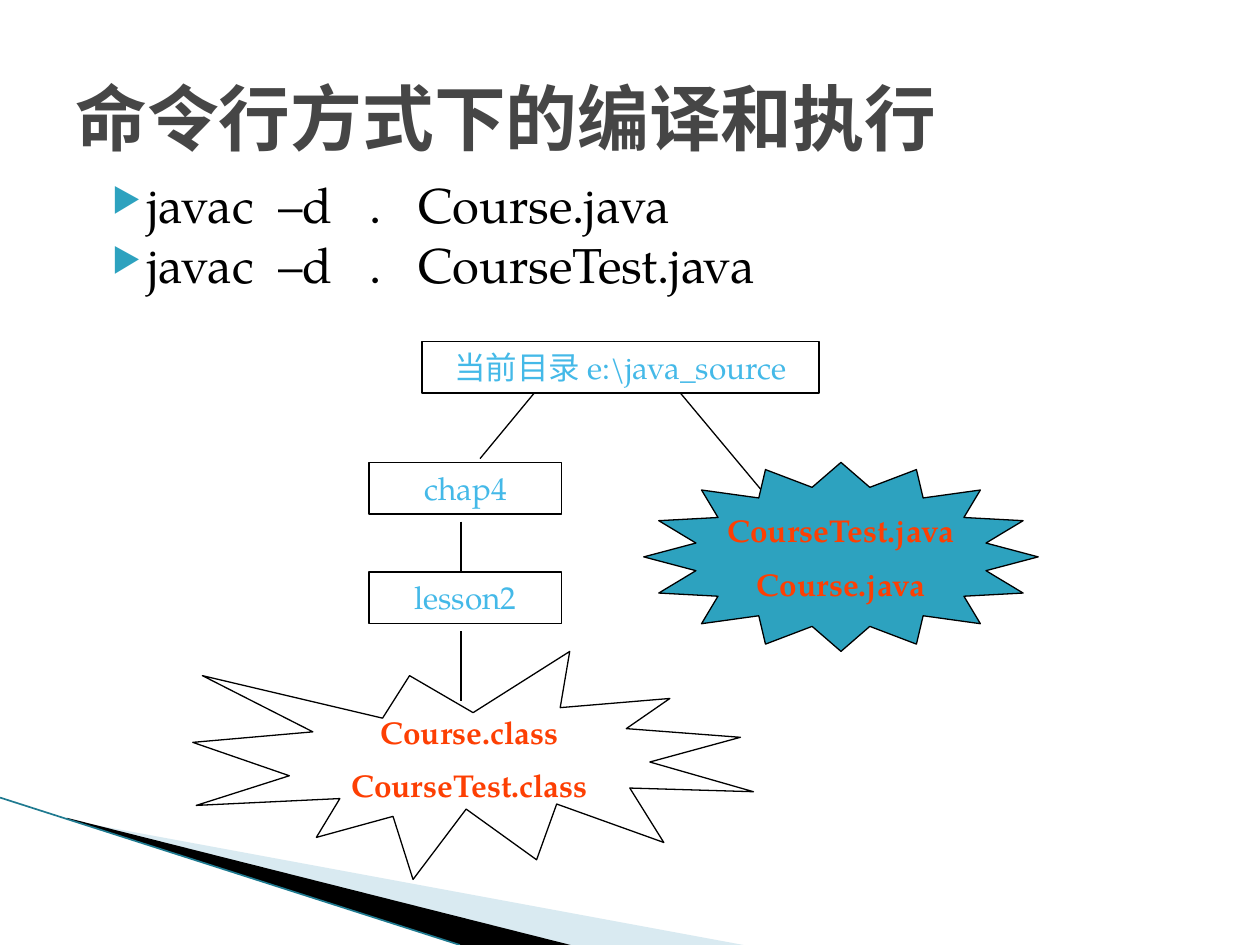
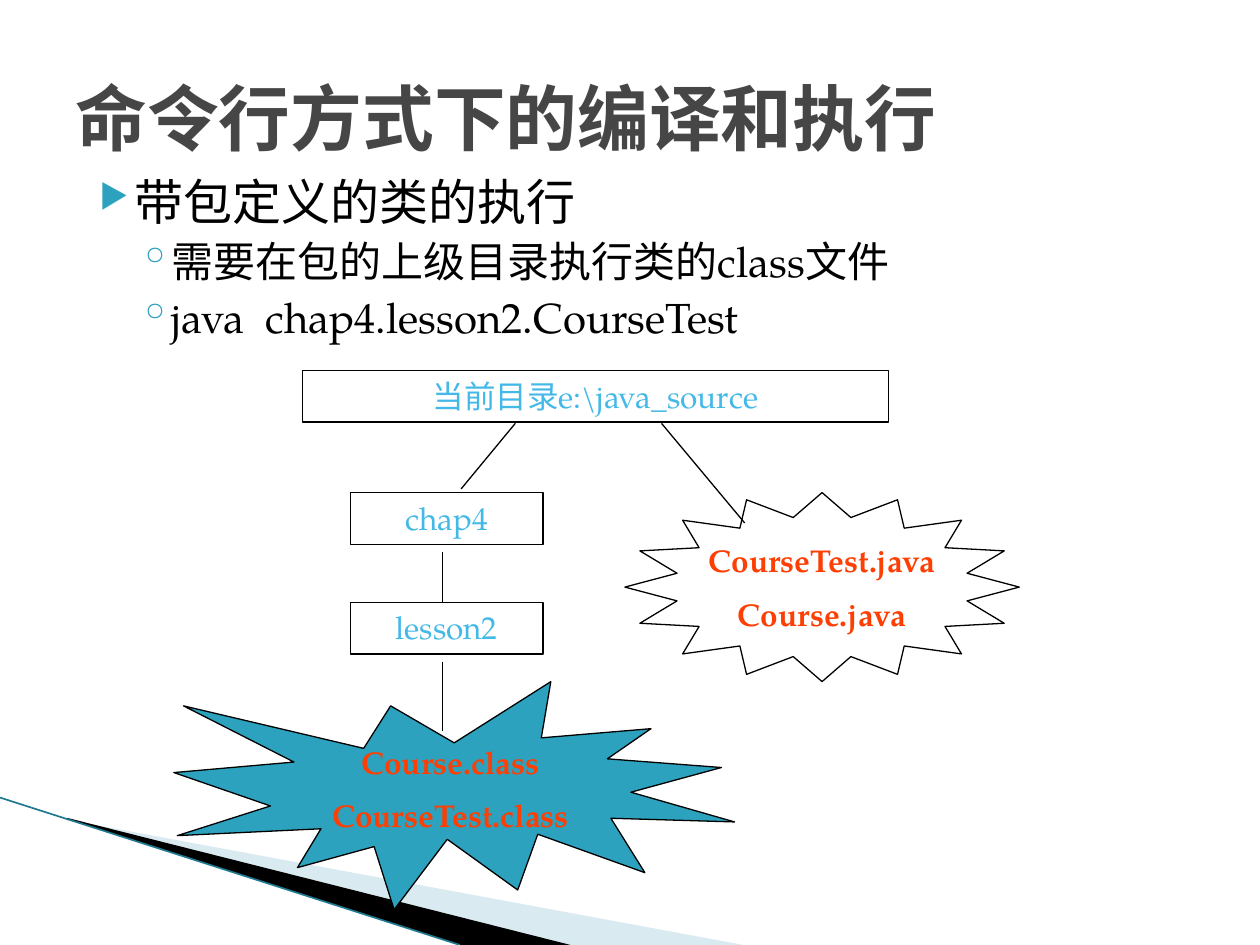
from lxml.etree import SubElement
from pptx import Presentation
from pptx.dml.color import RGBColor
from pptx.enum.shapes import MSO_CONNECTOR as Link, MSO_SHAPE as Preset
from pptx.enum.text import MSO_ANCHOR as Anchor, MSO_AUTO_SIZE as Fit, PP_ALIGN as Align
from pptx.oxml.ns import qn
from pptx.util import Pt

PX = 9144
TITLE_FONT, TEXT_FONT = "Noto Sans Mono", "TeX Gyre Pagella"
BLACK, ACCENT, TITLE_GREY = "000000", "2DA2BF", "464646"
FOLDER_BLUE, FILE_ORANGE = "44B9E8", "FD3F03"
PALE_BAND, BAND_EDGE = "A0CBDC", "1F7A90"
TITLE = "命令行方式下的编译和执行"

# indent, hanging, space before, bullet, bullet percent, text size
LEVELS = [(40, -28, 4, "▶", 68, 28), (68, -25, 3.2, "◦", 100, 24)]


def emu(*lengths):
    """Turn px lengths into EMU."""
    return [length * PX for length in lengths]


def rgb(color):
    """Turn a hex string into a colour."""
    return RGBColor.from_string(color)


def style_runs(paragraph, size, color, font=TEXT_FONT, bold=False):
    """Format every run of a paragraph."""
    for run in paragraph.runs:
        run.font.size, run.font.name, run.font.bold = Pt(size), font, bold
        run.font.color.rgb = rgb(color)


def add_band(slide, corners, color, opacity=100):
    """Draw one filled wedge of the footer."""
    builder = slide.shapes.build_freeform(*corners[0], scale=PX)
    builder.add_line_segments(corners[1:], close=True)
    band = builder.convert_to_shape()
    band.shadow.inherit = False
    band.fill.solid()
    band.fill.fore_color.rgb = rgb(color)
    band.line.fill.background()
    if opacity < 100:
        tint = band.fill._xPr.find(qn("a:solidFill"))[0]
        SubElement(tint, qn("a:alpha"), val=str(opacity * 1000))


def add_line(slide, start, end, color=BLACK, width=0.75):
    """Draw a straight line without shadow."""
    line = slide.shapes.add_connector(Link.STRAIGHT, *emu(*start, *end))
    line.line.color.rgb = rgb(color)
    line.line.width = Pt(width)
    SubElement(line._element.spPr, qn("a:effectLst"))


def add_title(slide, title):
    """Write the slide title."""
    frame = slide.shapes.add_textbox(*emu(50, 30, 900, 125)).text_frame
    frame.word_wrap = True
    frame.vertical_anchor = Anchor.MIDDLE
    frame.text = title
    style_runs(frame.paragraphs[0], 41, TITLE_GREY, TITLE_FONT, True)


def add_bullets(slide, box, items, spacing=1.0):
    """Write a bulleted list of (level, text) items."""
    frame = slide.shapes.add_textbox(*emu(*box)).text_frame
    frame.word_wrap = True
    frame.text = "\n".join(text for _, text in items)
    for paragraph, (level, _) in zip(frame.paragraphs, items):
        indent, hanging, before, bullet, percent, size = LEVELS[level]
        paragraph.level = level
        paragraph.line_spacing = spacing
        paragraph.space_before = Pt(before)
        style_runs(paragraph, size, BLACK)
        props = paragraph._p.get_or_add_pPr()
        props.set("marL", str(indent * PX))
        props.set("indent", str(hanging * PX))
        SubElement(SubElement(props, qn("a:buClr")), qn("a:srgbClr"), val=ACCENT)
        SubElement(props, qn("a:buSzPct"), val=str(percent * 1000))
        SubElement(props, qn("a:buChar"), char=bullet)


def add_node(slide, preset, box, text, color, bold=False, fill=None):
    """Draw an outlined shape with centred text."""
    node = slide.shapes.add_shape(preset, *emu(*box))
    node.shadow.inherit = False
    node.line.color.rgb = rgb(BLACK)
    node.line.width = Pt(0.75)
    if fill:
        node.fill.solid()
        node.fill.fore_color.rgb = rgb(fill)
    else:
        node.fill.background()
    frame = node.text_frame
    frame.text = text
    for index, paragraph in enumerate(frame.paragraphs):
        paragraph.alignment = Align.CENTER
        paragraph.space_before = Pt(9 if index else 0)
        style_runs(paragraph, 18, color, bold=bold)
    return node


def add_folder(slide, box, name):
    """Draw a folder box that fits its name."""
    frame = add_node(slide, Preset.RECTANGLE, box, name, FOLDER_BLUE).text_frame
    frame.vertical_anchor = Anchor.TOP
    frame.word_wrap = True
    frame.auto_size = Fit.SHAPE_TO_FIT_TEXT


def add_files(slide, preset, box, names, fill):
    """Draw a burst that lists file names."""
    burst = add_node(slide, preset, box, names, FILE_ORANGE, True, fill)
    burst.text_frame.vertical_anchor = Anchor.MIDDLE
    burst.text_frame.word_wrap = False
    return burst


def add_tree(slide, left, top, root_box, root, source_fill=None, class_fill=None):
    """Draw the directory tree with its top left corner at left, top."""
    for x1, y1, x2, y2 in [(271, 41, 228, 93), (213, 143, 213, 183),
                           (387, 41, 453, 120), (213, 230, 213, 285)]:
        add_line(slide, (left + x1, top + y1), (left + x2, top + y2))
    add_folder(slide, root_box, root)
    for name, drop in [("chap4", 96), ("lesson2", 183)]:
        add_folder(slide, (left + 140, top + drop, 153, 41), name)
    add_files(slide, Preset.EXPLOSION1, (left, top + 246, 445, 181),
              "Course.class\nCourseTest.class", class_fill)
    sources = add_files(slide, Preset.STAR_16_POINT, (left + 358, top + 96, 313, 150),
                        "CourseTest.java\nCourse.java", source_fill)
    sources.adjustments[0] = 0.375


def add_base(deck):
    """Add a slide with the footer bands and the title."""
    slide = deck.slides.add_slide(deck.slide_layouts[6])
    add_band(slide, [(55, 651), (590, 750), (452, 750), (55, 650)], PALE_BAND, 40)
    add_band(slide, [(53, 649), (453, 750), (365, 750), (54, 650)], BLACK)
    add_line(slide, (0, 633), (365, 750), BAND_EDGE, 0.95)
    add_title(slide, TITLE)
    return slide


def main():
    """Build and save both slides."""
    deck = Presentation()
    deck.slide_width, deck.slide_height = emu(1000, 750)

    compiling = add_base(deck)
    add_tree(compiling, 153, 271, (335, 271, 315, 41),
             "当前目录 e:\\java_source", source_fill=ACCENT)
    add_bullets(compiling, (67, 139, 900, 110),
                [(0, "javac  –d   .   Course.java"),
                 (0, "javac  –d   .   CourseTest.java")], 0.9)

    running = add_base(deck)
    add_bullets(running, (57, 131, 875, 500),
                [(0, "带包定义的类的执行"),
                 (1, "需要在包的上级目录执行类的class文件"),
                 (1, "java  chap4.lesson2.CourseTest")])
    add_tree(running, 138, 295, (240, 294, 465, 41),
             "当前目录e:\\java_source", class_fill=ACCENT)

    deck.save("out.pptx")


if __name__ == "__main__":
    main()
